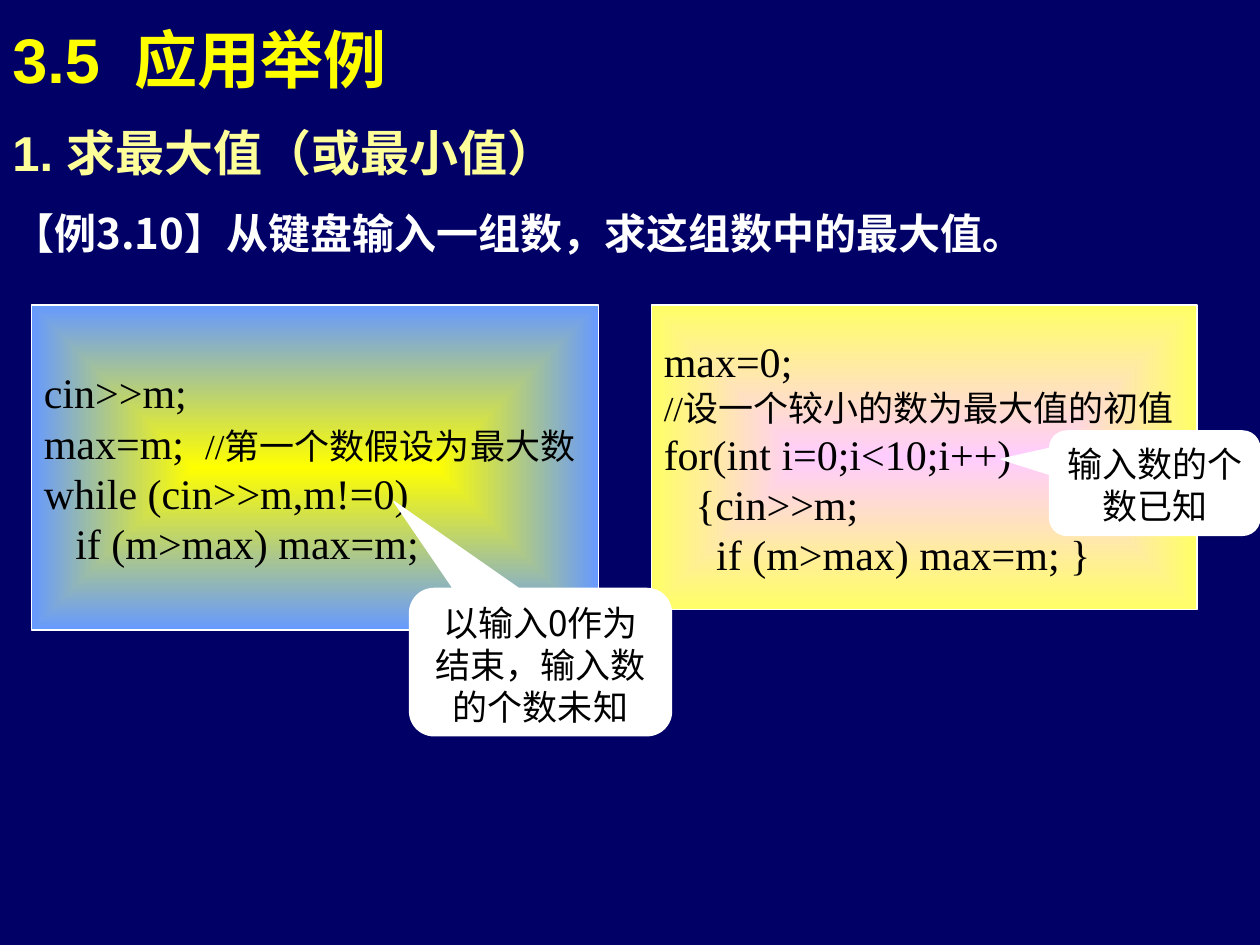
from lxml.etree import SubElement
from pptx import Presentation
from pptx.dml.color import RGBColor
from pptx.enum.shapes import MSO_SHAPE
from pptx.enum.text import MSO_ANCHOR, PP_ALIGN
from pptx.oxml import parse_xml
from pptx.oxml.ns import nsdecls, qn
from pptx.util import Inches, Pt

NAVY = RGBColor(0x00, 0x00, 0x66)
YELLOW = RGBColor(0xFF, 0xFF, 0x00)
PALE_YELLOW = RGBColor(0xFF, 0xFF, 0x99)
LEMON = RGBColor(0xFF, 0xFF, 0x66)
PINK = RGBColor(0xFF, 0xCC, 0xFF)
BLUE = RGBColor(0x66, 0x99, 0xFF)
WHITE = RGBColor(0xFF, 0xFF, 0xFF)
BLACK = RGBColor(0x00, 0x00, 0x00)

HEADING_FONT = "Arial"
CHINESE_FONT = "Noto Sans CJK SC"
CODE_FONT = "Times New Roman"

WHILE_CODE = [
    "cin>>m;",
    "max=m;  //第一个数假设为最大数",
    "while (cin>>m,m!=0)",
    "   if (m>max) max=m;",
]
FOR_CODE = [
    "max=0;",
    "//设一个较小的数为最大值的初值",
    "for(int i=0;i<10;i++)",
    "   {cin>>m;",
    "     if (m>max) max=m; }",
]


def add_run(paragraph, text, font=CHINESE_FONT, size=20, color=BLACK, bold=False):
    run = paragraph.add_run()
    run.text = text
    run.font.name = font
    run.font.size = Pt(size)
    run.font.color.rgb = color
    run.font.bold = bold
    SubElement(run.font._element, qn("a:ea")).set("typeface", CHINESE_FONT)


class SlideBuilder:
    def __init__(self, slide):
        self.slide = slide
        slide.background.fill.solid()
        slide.background.fill.fore_color.rgb = NAVY

    def text_box(self, left, top, width, height, anchor=MSO_ANCHOR.TOP):
        box = self.slide.shapes.add_textbox(
            Inches(left), Inches(top), Inches(width), Inches(height))
        frame = box.text_frame
        frame.word_wrap = True
        frame.vertical_anchor = anchor
        return frame

    def outlined_shape(self, kind, left, top, width, height):
        shape = self.slide.shapes.add_shape(
            kind, Inches(left), Inches(top), Inches(width), Inches(height))
        shape.shadow.inherit = False
        shape.fill.solid()
        shape.fill.fore_color.rgb = WHITE
        shape.line.color.rgb = WHITE
        shape.line.width = Pt(0.75)
        return shape

    def code_panel(self, left, top, width, height, center, edge, lines):
        shape = self.outlined_shape(MSO_SHAPE.RECTANGLE, left, top, width, height)
        # Rectangular gradient running from the centre to the edge
        gradient = parse_xml(
            f'<a:gradFill {nsdecls("a")} rotWithShape="1"><a:gsLst>'
            f'<a:gs pos="0"><a:srgbClr val="{center}"/></a:gs>'
            f'<a:gs pos="100000"><a:srgbClr val="{edge}"/></a:gs></a:gsLst>'
            '<a:path path="rect"><a:fillToRect l="50000" t="50000" r="50000" b="50000"/>'
            '</a:path></a:gradFill>')
        properties = shape._element.spPr
        properties.replace(properties.find(qn("a:solidFill")), gradient)
        frame = shape.text_frame
        frame.word_wrap = False
        frame.vertical_anchor = MSO_ANCHOR.MIDDLE
        for index, line in enumerate(lines):
            paragraph = frame.add_paragraph() if index else frame.paragraphs[0]
            paragraph.alignment = PP_ALIGN.LEFT
            code, slashes, comment = line.partition("//")
            if code:
                add_run(paragraph, code, font=CODE_FONT, size=24)
            if slashes:
                add_run(paragraph, slashes, font=CODE_FONT)
                add_run(paragraph, comment)

    def callout(self, left, top, width, height, tip, text):
        shape = self.outlined_shape(
            MSO_SHAPE.ROUNDED_RECTANGULAR_CALLOUT, left, top, width, height)
        shape.adjustments[0], shape.adjustments[1] = tip
        frame = shape.text_frame
        frame.word_wrap = True
        frame.vertical_anchor = MSO_ANCHOR.TOP
        frame.paragraphs[0].alignment = PP_ALIGN.CENTER
        add_run(frame.paragraphs[0], text)


def main():
    presentation = Presentation()
    presentation.slide_width = Inches(10)
    presentation.slide_height = Inches(7.5)
    builder = SlideBuilder(presentation.slides.add_slide(presentation.slide_layouts[6]))

    # Title
    title = builder.text_box(0, 0, 8.5, 0.92, anchor=MSO_ANCHOR.MIDDLE)
    add_run(title.paragraphs[0], "3.5  应用举例",
            font=HEADING_FONT, size=36, color=YELLOW, bold=True)

    # Section heading and example
    introduction = builder.text_box(0, 0.92, 10, 1.18)
    add_run(introduction.paragraphs[0], "1. 求最大值（或最小值）",
            font=HEADING_FONT, size=28, color=PALE_YELLOW, bold=True)
    example = introduction.add_paragraph()
    example.space_before = Pt(15)
    add_run(example, "【例3.10】从键盘输入一组数，求这组数中的最大值。",
            size=24, color=WHITE, bold=True)

    # Code panels
    builder.code_panel(0.25, 2.42, 4.5, 2.58, YELLOW, BLUE, WHILE_CODE)
    builder.code_panel(5.17, 2.42, 4.33, 2.42, PINK, LEMON, FOR_CODE)

    # Callouts pointing at the loop conditions
    builder.callout(3.25, 4.67, 2.08, 1.17, (-0.56, -1.09),
                    "以输入0作为结束，输入数的个数未知")
    builder.callout(8.33, 3.42, 1.67, 0.83, (-0.73, -0.23), "输入数的个数已知")

    presentation.save("out.pptx")


if __name__ == "__main__":
    main()
